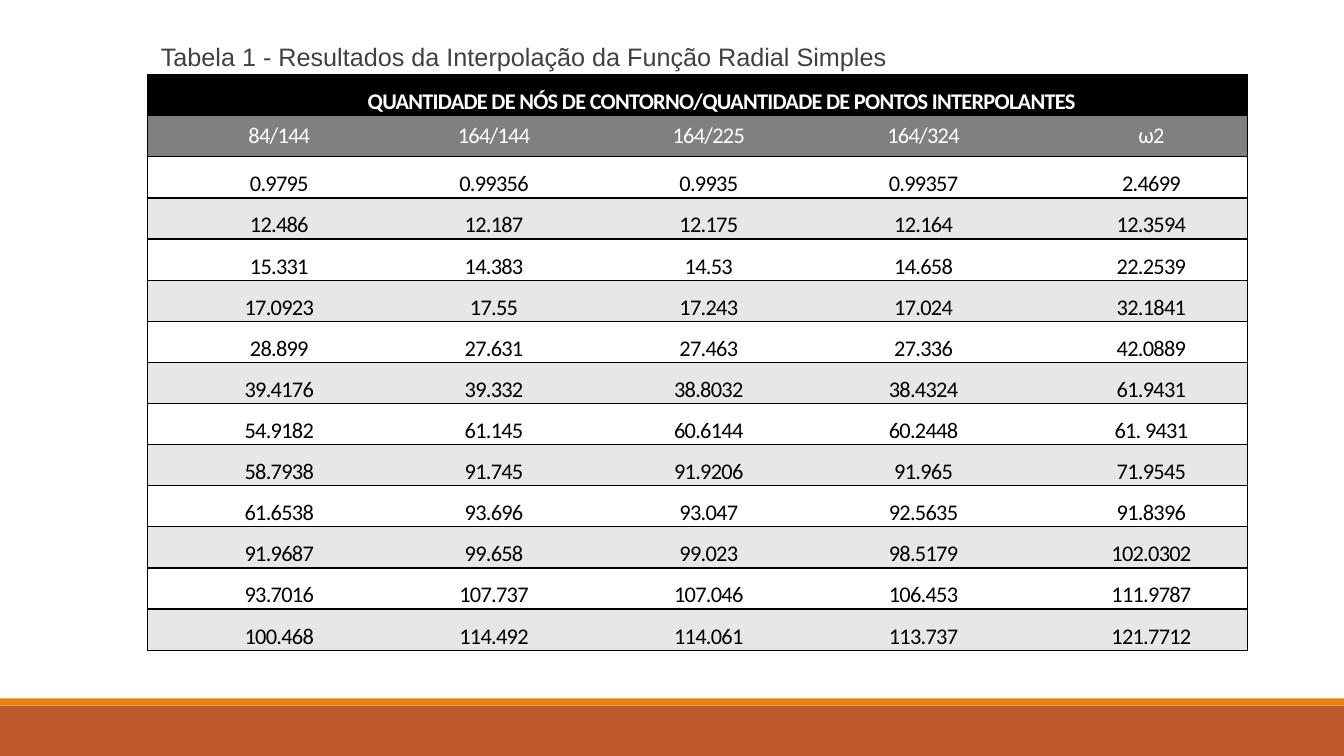
import pptx
import pptx.dml.color
import pptx.enum.shapes
import pptx.enum.text
import pptx.oxml.ns
import pptx.util
from lxml import etree

Inches = pptx.util.Inches
Pt = pptx.util.Pt
RGBColor = pptx.dml.color.RGBColor
Align = pptx.enum.text.PP_ALIGN
Anchor = pptx.enum.text.MSO_ANCHOR
qn = pptx.oxml.ns.qn

BLACK = RGBColor(0x00, 0x00, 0x00)
WHITE = RGBColor(0xFF, 0xFF, 0xFF)
HEADER_GRAY = RGBColor(0x80, 0x80, 0x80)
BAND_GRAY = RGBColor(0xE7, 0xE7, 0xE7)
TITLE_GRAY = RGBColor(0x40, 0x40, 0x40)
ORANGE = RGBColor(0xE4, 0x83, 0x12)
RUST = RGBColor(0xBD, 0x58, 0x2C)
PLAIN_TABLE_STYLE = "{2D5ABB26-0587-4C30-8999-92F81FD0307C}"

TITLE = "Tabela 1 - Resultados da Interpolação da Função Radial Simples"
HEADING = "QUANTIDADE DE NÓS DE CONTORNO/QUANTIDADE DE PONTOS INTERPOLANTES"
COLUMN_NAMES = ["84/144", "164/144", "164/225", "164/324", "ω2"]
RESULTS = [
    ["0.9795", "0.99356", "0.9935", "0.99357", "2.4699"],
    ["12.486", "12.187", "12.175", "12.164", "12.3594"],
    ["15.331", "14.383", "14.53", "14.658", "22.2539"],
    ["17.0923", "17.55", "17.243", "17.024", "32.1841"],
    ["28.899", "27.631", "27.463", "27.336", "42.0889"],
    ["39.4176", "39.332", "38.8032", "38.4324", "61.9431"],
    ["54.9182", "61.145", "60.6144", "60.2448", "61. 9431"],
    ["58.7938", "91.745", "91.9206", "91.965", "71.9545"],
    ["61.6538", "93.696", "93.047", "92.5635", "91.8396"],
    ["91.9687", "99.658", "99.023", "98.5179", "102.0302"],
    ["93.7016", "107.737", "107.046", "106.453", "111.9787"],
    ["100.468", "114.492", "114.061", "113.737", "121.7712"],
]
COLUMN_WIDTHS = [2.13, 2.13, 2.13, 2.13, 2.39]
TABLE_HEIGHT = 5.71


def apply(target, values):
    for name, value in values.items():
        setattr(target, name, value)


class SlideBuilder:
    title_font = {"name": "Arial", "size": Pt(18), "bold": False}
    table_font = {"name": "Calibri", "size": Pt(16)}
    cell_margins = {"margin_left": Inches(0.07), "margin_right": Inches(0.07),
                    "margin_top": 0, "margin_bottom": 0}

    def __init__(self, slide):
        self.slide = slide

    def title(self, text, left, top, width, height):
        shape = self.slide.shapes.title
        apply(shape, {"left": Inches(left), "top": Inches(top),
                      "width": Inches(width), "height": Inches(height)})
        frame = shape.text_frame
        frame.text = text
        apply(frame, {"word_wrap": True, "vertical_anchor": Anchor.TOP,
                      "auto_size": pptx.enum.text.MSO_AUTO_SIZE.NONE,
                      "margin_left": Inches(0.1), "margin_right": Inches(0.1),
                      "margin_top": Inches(0.05), "margin_bottom": Inches(0.05)})
        paragraph = frame.paragraphs[0]
        apply(paragraph, {"alignment": Align.JUSTIFY, "line_spacing": 0.9,
                          "space_before": Pt(12), "space_after": Pt(2)})
        properties = paragraph._p.get_or_add_pPr()
        properties.set("marL", str(Inches(0.1)))
        properties.set("indent", str(Inches(-0.1)))
        bullet_color = etree.SubElement(properties, qn("a:buClr"))
        etree.SubElement(bullet_color, qn("a:srgbClr"), val=str(ORANGE))
        etree.SubElement(properties, qn("a:buChar"), char=" ")
        font = paragraph.runs[0].font
        apply(font, self.title_font)
        font.color.rgb = TITLE_GRAY

    def band(self, top, height, color):
        shape = self.slide.shapes.add_shape(
            pptx.enum.shapes.MSO_SHAPE.RECTANGLE,
            Inches(0), Inches(top), Inches(13.33), Inches(height))
        shape.shadow.inherit = False
        shape.fill.solid()
        shape.fill.fore_color.rgb = color
        shape.line.fill.background()

    def table(self, left, top, height, widths, row_count):
        table = self.slide.shapes.add_table(
            row_count, len(widths), Inches(left), Inches(top),
            Inches(sum(widths)), Inches(height)).table
        apply(table, {"first_row": False, "horz_banding": False})
        table._tbl.tblPr.find(qn("a:tableStyleId")).text = PLAIN_TABLE_STYLE
        for column, width in zip(table.columns, widths):
            column.width = Inches(width)
        for row in table.rows:
            row.height = Inches(height / row_count)
        return table

    def borders(self, cell, sides):
        properties = cell._tc.get_or_add_tcPr()
        for side in "LRTB":
            line = etree.SubElement(properties, qn("a:ln" + side), w=str(Pt(1)))
            if side in sides:
                fill = etree.SubElement(line, qn("a:solidFill"))
                etree.SubElement(fill, qn("a:srgbClr"), val=str(BLACK))
            else:
                etree.SubElement(line, qn("a:noFill"))

    def cell(self, cell, text, sides, fill, color, anchor, spacing, bold=False):
        self.borders(cell, sides)
        cell.fill.solid()
        cell.fill.fore_color.rgb = fill
        apply(cell, {**self.cell_margins, "vertical_anchor": anchor})
        if not text:
            return
        cell.text = text
        paragraph = cell.text_frame.paragraphs[0]
        apply(paragraph, {"alignment": Align.CENTER, "line_spacing": spacing,
                          "space_after": Pt(8)})
        properties = paragraph._p.get_or_add_pPr()
        properties.set("marL", "0")
        properties.set("indent", str(Inches(0.49)))
        font = paragraph.runs[0].font
        apply(font, {**self.table_font, "bold": bold})
        font.color.rgb = color
        paragraph.runs[0]._r.get_or_add_rPr().set("spc", "-50")


def main():
    presentation = pptx.Presentation()
    apply(presentation, {"slide_width": Inches(13.33), "slide_height": Inches(7.5)})
    builder = SlideBuilder(presentation.slides.add_slide(presentation.slide_layouts[5]))
    builder.band(7, 0.5, RUST)
    builder.band(6.93, 0.07, ORANGE)
    builder.title(TITLE, 1.37, 0.39, 11, 6.48)

    rows = [[HEADING, "", "", "", ""], COLUMN_NAMES, *RESULTS]
    table = builder.table(1.46, 0.74, TABLE_HEIGHT, COLUMN_WIDTHS, len(rows))
    table.cell(0, 0).merge(table.cell(0, 4))
    header_styles = [
        {"fill": BLACK, "color": WHITE, "anchor": Anchor.MIDDLE, "spacing": 1.5, "bold": True},
        {"fill": HEADER_GRAY, "color": WHITE, "anchor": Anchor.MIDDLE, "spacing": 1.0},
    ]
    result_styles = [
        {"fill": fill, "color": BLACK, "anchor": Anchor.TOP, "spacing": 1.5}
        for fill in (WHITE, BAND_GRAY)
    ]
    for row_index, values in enumerate(rows):
        styles = header_styles if row_index < 2 else result_styles
        for column_index, text in enumerate(values):
            sides = "TB" + {0: "L", 4: "R"}.get(column_index, "")
            if row_index == 0:
                sides = "LRTB"
            builder.cell(table.cell(row_index, column_index), text, sides,
                         **styles[row_index % 2])
    presentation.save("out.pptx")


if __name__ == "__main__":
    main()
